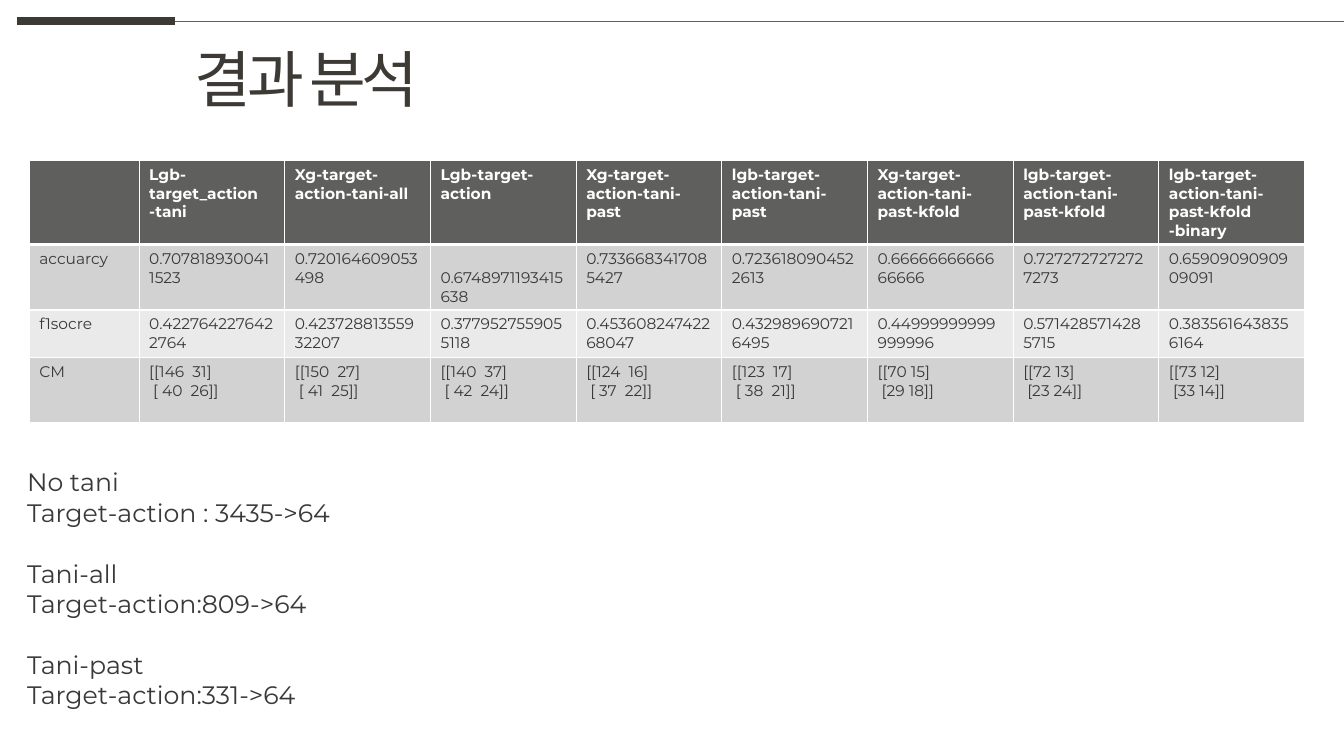
from lxml import etree
from pptx import Presentation, util as u
from pptx.dml.color import RGBColor
from pptx.enum import shapes, text
from pptx.oxml.ns import qn

# Content
TITLE = "결과 분석"
MODELS = [
    ["Lgb-target_action", "-tani"],
    ["Xg-target-action-tani-all"],
    ["Lgb-target-action"],
    ["Xg-target-action-tani-past"],
    ["lgb-target-action-tani-past"],
    ["Xg-target-action-tani-past-kfold"],
    ["lgb-target-action-tani-past-kfold"],
    ["lgb-target-action-tani-past-kfold", "-binary"],
]
ACCURACY = ["0.7078189300411523", "0.720164609053498", " 0.6748971193415638",
            "0.7336683417085427", "0.7236180904522613", "0.6666666666666666",
            "0.7272727272727273", "0.6590909090909091"]
F1_SCORE = ["0.4227642276422764", "0.42372881355932207", "0.3779527559055118",
            "0.45360824742268047", "0.4329896907216495", "0.44999999999999996",
            "0.5714285714285715", "0.3835616438356164"]
CONFUSION = [(146, 31, 40, 26), (150, 27, 41, 25), (140, 37, 42, 24),
             (124, 16, 37, 22), (123, 17, 38, 21), (70, 15, 29, 18),
             (72, 13, 23, 24), (73, 12, 33, 14)]
NOTES = [
    ("No tani", "Target-action : 3435->64"),
    ("Tani-all", "Target-action:809->64"),
    ("Tani-past", "Target-action:331->64"),
]

THEME = {
    "font": "Montserrat", "title": "3D3A35", "ink": "3A3838", "white": "FFFFFF",
    "head": "5F5F5D", "bands": ("D2D2D2", "EAEAEA"),
    "title_size": 44, "note_size": 18, "cell_size": 11,
}

# Layout in inches
WIDTH, HEIGHT = 13.33, 7.5
RULE_Y, RULE_STOPS = 0.21, (0.17, 1.74, WIDTH)
TABLE_LEFT, TABLE_TOP, TABLE_WIDTH = 0.29, 1.59, 12.65
LABEL_WIDTH = 1.09
MODEL_WIDTH = (TABLE_WIDTH - LABEL_WIDTH) / len(MODELS)
ROW_HEIGHTS = (0.82, 0.47, 0.47, 0.65)


def matrix_lines(values):
    """Two printed rows, each number padded to the widest one."""
    digits = max(len(str(value)) for value in values)
    a, b, c, d = (f"{value:{digits}}" for value in values)
    return [f"[[{a} {b}]", f" [{c} {d}]]"]


def write(frame, lines, size, color, bold=False):
    for index, line in enumerate(lines):
        para = frame.paragraphs[0] if index == 0 else frame.add_paragraph()
        para.alignment = text.PP_ALIGN.LEFT
        span = para.add_run()
        span.text = line
        formats = {"name": THEME["font"], "size": u.Pt(size), "bold": bold}
        for name, value in formats.items():
            setattr(span.font, name, value)
        span.font.color.rgb = RGBColor.from_string(color)


def add_rule(page, start, end, color, weight):
    rule = page.shapes.add_connector(
        shapes.MSO_CONNECTOR.STRAIGHT,
        *(u.Inches(v) for v in (start, RULE_Y, end, RULE_Y)))
    rule.line.color.rgb = RGBColor.from_string(color)
    rule.line.width = u.Pt(weight)
    etree.SubElement(rule.element.spPr, qn("a:effectLst"))


def set_borders(cell, weights):
    properties = cell._tc.get_or_add_tcPr()
    for side, weight in zip("LRTB", weights):
        line = etree.SubElement(properties, qn(f"a:ln{side}"), w=str(u.Pt(weight)))
        fill = etree.SubElement(line, qn("a:solidFill"))
        etree.SubElement(fill, qn("a:srgbClr"), val=THEME["white"])


def add_title(page):
    title = page.shapes.title
    box = {"left": 1.83, "top": 0.36, "width": 2.63, "height": 0.84}
    for name, value in box.items():
        setattr(title, name, u.Inches(value))
    frame = title.text_frame
    formats = {"word_wrap": False, "vertical_anchor": text.MSO_ANCHOR.TOP,
               "auto_size": text.MSO_AUTO_SIZE.SHAPE_TO_FIT_TEXT}
    for name, value in formats.items():
        setattr(frame, name, value)
    write(frame, [TITLE], THEME["title_size"], THEME["title"])
    frame.paragraphs[0].runs[0].font._element.set("spc", "-300")


def add_results(page):
    rows = [
        [[]] + MODELS,
        [["accuarcy"]] + [[value] for value in ACCURACY],
        [["f1socre"]] + [[value] for value in F1_SCORE],
        [["CM"]] + [matrix_lines(values) for values in CONFUSION],
    ]
    table = page.shapes.add_table(
        len(rows), len(rows[0]), u.Inches(TABLE_LEFT), u.Inches(TABLE_TOP),
        u.Inches(TABLE_WIDTH), u.Inches(sum(ROW_HEIGHTS))).table
    for index, column in enumerate(table.columns):
        column.width = u.Inches(MODEL_WIDTH if index else LABEL_WIDTH)
    for r, (row, height) in enumerate(zip(rows, ROW_HEIGHTS)):
        table.rows[r].height = u.Inches(height)
        head = r == 0
        fill = THEME["head"] if head else THEME["bands"][(r - 1) % 2]
        for c, lines in enumerate(row):
            cell = table.cell(r, c)
            set_borders(cell, (1, 1, 3 if r == 1 else 1, 3 if head else 1))
            cell.fill.solid()
            cell.fill.fore_color.rgb = RGBColor.from_string(fill)
            write(cell.text_frame, lines, THEME["cell_size"],
                  THEME["white"] if head else THEME["ink"], head)


def add_notes(page):
    box = page.shapes.add_textbox(*(u.Inches(v) for v in (0.17, 4.58, 8.4, 2.52)))
    frame = box.text_frame
    frame.word_wrap = True
    write(frame, [line for group in NOTES for line in group],
          THEME["note_size"], THEME["ink"])
    # One line of space above each later group
    for para in frame.paragraphs[2::2]:
        para.space_before = u.Pt(22)


def main():
    deck = Presentation()
    deck.slide_width, deck.slide_height = u.Inches(WIDTH), u.Inches(HEIGHT)
    page = deck.slides.add_slide(deck.slide_layouts.get_by_name("Title Only"))
    # Top rule: thick start, thin remainder
    start, middle, end = RULE_STOPS
    add_rule(page, start, middle, THEME["title"], 6)
    add_rule(page, middle, end, THEME["head"], 0.5)
    add_title(page)
    add_results(page)
    add_notes(page)
    deck.save("out.pptx")


if __name__ == "__main__":
    main()
